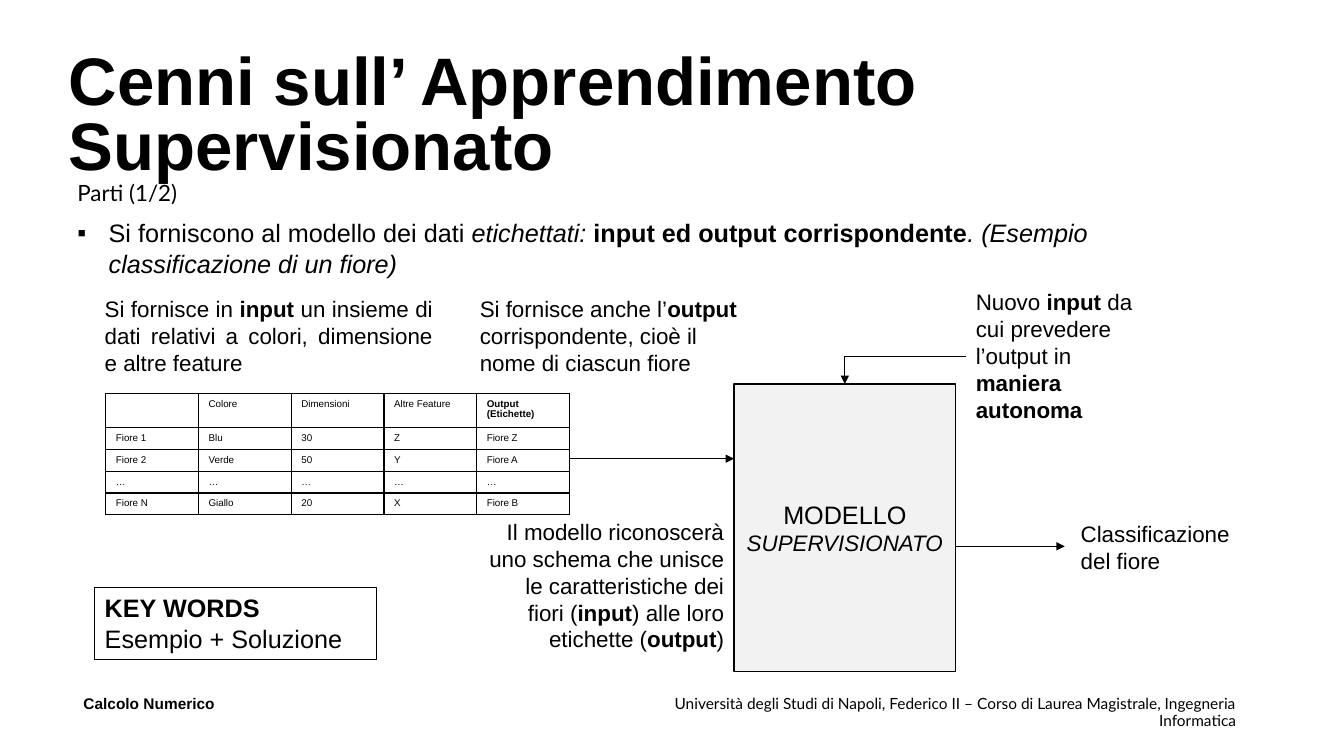
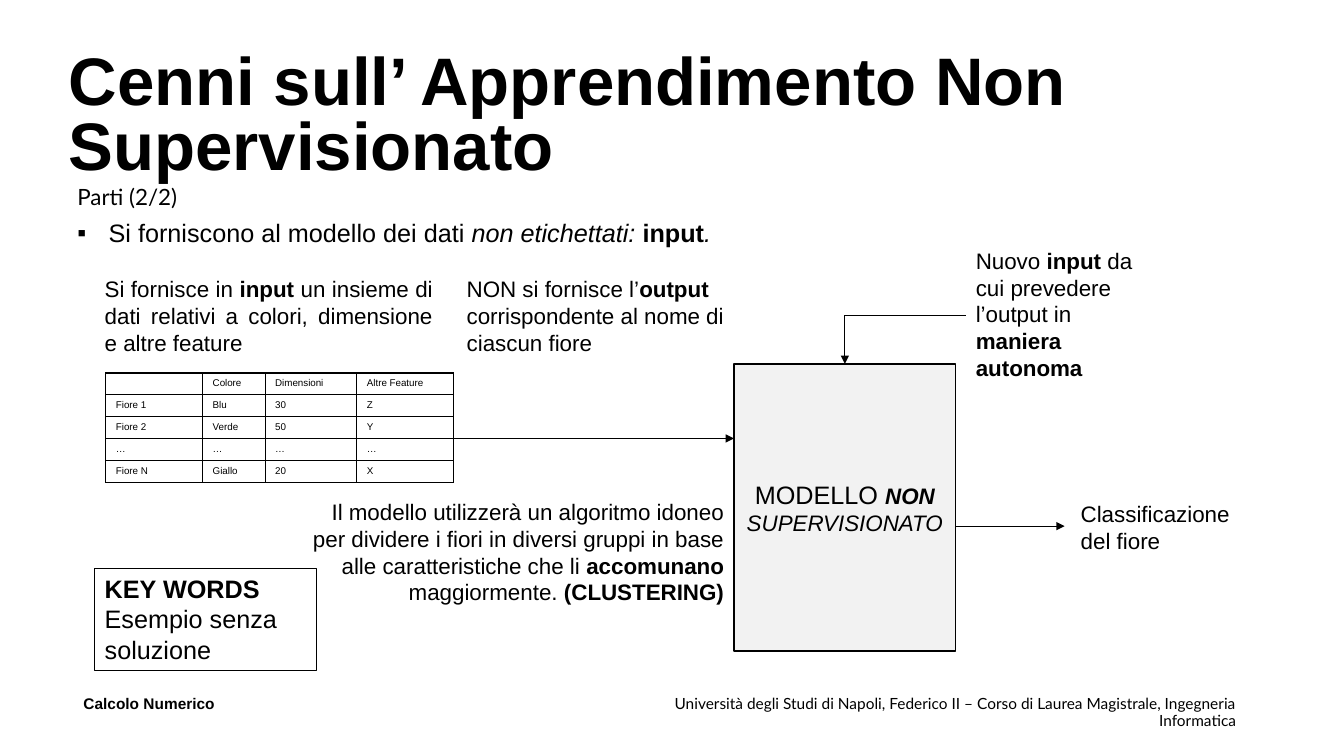
import pptx
import pptx.util
import pptx.dml.color
import pptx.enum.dml
import pptx.enum.shapes
import pptx.enum.text
import pptx.oxml
import pptx.oxml.ns
import lxml.etree

PX = 9144
BLACK, GREY = "000000", "F2F2F2"
SANS, HUMANIST = "Arial", "Lato"
B = {"bold": True}
I = {"italic": True}
ALIGN = pptx.enum.text.PP_ALIGN
ANCHOR = pptx.enum.text.MSO_ANCHOR
FIT = pptx.enum.text.MSO_AUTO_SIZE
SHAPE = pptx.enum.shapes.MSO_SHAPE
CONNECTOR = pptx.enum.shapes.MSO_CONNECTOR
LEFT_SIDE, RIGHT_SIDE, TOP_SIDE = 1, 3, 0

COURSE = "Calcolo Numerico"
UNIVERSITY = ("Università degli Studi di Napoli, Federico II – Corso di Laurea "
              "Magistrale, Ingegneria Informatica")
FLOWERS = [
    ["", "Colore", "Dimensioni", "Altre Feature"],
    ["Fiore 1", "Blu", "30", "Z"],
    ["Fiore 2", "Verde", "50", "Y"],
    ["…", "…", "…", "…"],
    ["Fiore N", "Giallo", "20", "X"],
]
LABELS = ["Output (Etichette)", "Fiore Z", "Fiore A", "…", "Fiore B"]


def px(*values):
    return [pptx.util.Emu(v * PX) for v in values]


def color(hex_value):
    return pptx.dml.color.RGBColor.from_string(hex_value)


def sub(parent, tag, **attrs):
    el = lxml.etree.SubElement(parent, pptx.oxml.ns.qn(tag))
    for name, value in attrs.items():
        el.set(name, str(value))
    return el


def set_attrs(obj, values):
    for name, value in values.items():
        setattr(obj, name, value)


def add_run(p, text, size, font=SANS, **style):
    r = p.add_run()
    r.text = text
    set_attrs(r.font, {"name": font, "size": pptx.util.Pt(size), "bold": False,
                       "italic": False, **style})
    r.font.color.rgb = color(BLACK)


def write(tf, paras, size=16, font=SANS, align=ALIGN.LEFT, spacing=1.0,
          anchor=ANCHOR.TOP, fit=FIT.NONE):
    set_attrs(tf, {"word_wrap": True, "auto_size": fit, "vertical_anchor": anchor})
    for i, runs in enumerate(paras):
        p = tf.paragraphs[0] if i == 0 else tf.add_paragraph()
        set_attrs(p, {"alignment": align, "line_spacing": spacing})
        for text, style in runs:
            add_run(p, text, **{"size": size, "font": font, **style})


def add_text(s, box, runs, **fmt):
    sp = s.shapes.add_textbox(*px(*box))
    write(sp.text_frame, [runs], **fmt)
    return sp


def add_box(s, box, paras, fill=None, width=1.0, **fmt):
    sp = s.shapes.add_shape(SHAPE.RECTANGLE, *px(*box))
    sp.shadow.inherit = False
    if fill:
        sp.fill.solid()
        sp.fill.fore_color.rgb = color(fill)
    else:
        sp.fill.background()
    sp.line.color.rgb = color(BLACK)
    sp.line.width = pptx.util.Pt(width)
    write(sp.text_frame, paras, size=18, **fmt)
    return sp


def add_arrow(s, start, end, kind=CONNECTOR.STRAIGHT):
    cxn = s.shapes.add_connector(kind, *px(*start, *end))
    cxn.line.color.rgb = color(BLACK)
    cxn.line.width = pptx.util.Pt(0.5)
    sub(cxn.line._get_or_add_ln(), "a:tailEnd", type="triangle")
    sub(cxn._element.spPr, "a:effectLst")
    return cxn


def add_corner_arrow(s, source, target):
    cxn = add_arrow(s, (0, 0), (1, 1), CONNECTOR.ELBOW)
    cxn.begin_connect(source, LEFT_SIDE)
    cxn.end_connect(target, TOP_SIDE)
    cxn._element.spPr.find(pptx.oxml.ns.qn("a:prstGeom")).set("prst", "bentConnector2")


def add_bullet(s, box, runs):
    sp = add_text(s, box, [], fit=FIT.SHAPE_TO_FIT_TEXT)
    p = sp.text_frame.paragraphs[0]
    pPr = p._p.get_or_add_pPr()
    indent = 31 * PX
    pPr.set("marL", str(indent))
    pPr.set("indent", str(-indent))
    sub(pPr, "a:buFont", typeface=SANS)
    sub(pPr, "a:buChar", char="▪")
    for text, style in runs:
        add_run(p, text, 18, **style)


def format_cell(cell, text, bold):
    p = cell.text_frame.paragraphs[0]
    if text:
        add_run(p, text, 7, bold=bold)
    else:
        p._p.get_or_add_endParaRPr().set("sz", "700")
    tcPr = cell._tc.get_or_add_tcPr()
    for side in ("a:lnL", "a:lnR", "a:lnT", "a:lnB"):
        ln = sub(tcPr, side, w=pptx.util.Pt(1))
        sub(sub(ln, "a:solidFill"), "a:srgbClr", val=BLACK)
    cell.fill.background()


def add_data_table(s, left, top, rows, widths, header):
    heights = [header] + [21] * (len(rows) - 1)
    frame = s.shapes.add_table(len(rows), len(widths),
                               *px(left, top, sum(widths), sum(heights)))
    table = frame.table
    set_attrs(table, {"first_row": False, "horz_banding": False})
    for column, width in zip(table.columns, px(*widths)):
        column.width = width
    for row, height in zip(table.rows, px(*heights)):
        row.height = height
    for i, values in enumerate(rows):
        for j, text in enumerate(values):
            format_cell(table.cell(i, j), text, text == LABELS[0])


def add_frame(prs, title, part, part_top):
    s = prs.slides.add_slide(prs.slide_layouts[5])
    sp = s.shapes.title
    set_attrs(sp, dict(zip(("left", "top", "width", "height"), px(58, 41, 1178, 153))))
    write(sp.text_frame, [[(title, B)]], size=48, spacing=0.8, anchor=ANCHOR.MIDDLE)
    add_text(s, (67, part_top, 1097, 35), [(part, {})], font=HUMANIST, spacing=0.9)
    add_text(s, (73, 686, 300, 40), [(COURSE, B)], size=11, spacing=0.9)
    add_text(s, (640, 686, 596, 40), [(UNIVERSITY, {})], size=11, font=HUMANIST,
             align=ALIGN.RIGHT, spacing=0.9)
    return s


def add_model_flow(s, top, rows, widths, header, output_box, output, new_input_top,
                   model, note_box, note):
    grow = {"fit": FIT.SHAPE_TO_FIT_TEXT}
    table_left = 105
    add_data_table(s, table_left, top + 9, rows, widths, header)
    add_text(s, (94, top - 93, 345, 91), [
        ("Si fornisce in ", {}), ("input ", B),
        ("un insieme di dati relativi a colori, dimensione e altre feature", {}),
    ], align=ALIGN.JUSTIFY, **grow)
    add_text(s, output_box, output, **grow)
    box = add_box(s, (728, top, 220, 285), model, fill=GREY,
                  align=ALIGN.CENTER, anchor=ANCHOR.MIDDLE)
    add_arrow(s, (table_left + sum(widths), top + 74), (728, top + 74))
    add_text(s, note_box, note, align=ALIGN.RIGHT, **grow)
    new_input = add_text(s, (958, new_input_top, 196, 145), [
        ("Nuovo ", {}), ("input ", B), ("da cui prevedere l’output in ", {}),
        ("maniera autonoma", B),
    ], **grow)
    add_corner_arrow(s, new_input, box)
    add_arrow(s, (948, top + 161), (1056, top + 161))
    add_text(s, (1062, top + 130, 202, 64), [("Classificazione del fiore", {})], **grow)


def add_key_words(s, box, text):
    add_box(s, box, [[("KEY WORDS", B)], [(text, {})]], width=0.75,
            fit=FIT.SHAPE_TO_FIT_TEXT)


def add_supervised(prs):
    s = add_frame(prs, "Cenni sull’ Apprendimento Supervisionato", "Parti (1/2)", 176)
    add_bullet(s, (67, 211, 1167, 71), [
        ("Si forniscono al modello dei dati ", {}), ("etichettati: ", I),
        ("input ed output corrispondente", B),
        (". (Esempio classificazione di un fiore)", I),
    ])
    add_model_flow(
        s, 381, [row + [label] for row, label in zip(FLOWERS, LABELS)], [92] * 5, 34,
        output_box=(466, 288, 288, 91),
        output=[("Si fornisce anche l’", {}), ("output ", B),
                ("corrispondente, cioè il nome di ciascun fiore", {})],
        new_input_top=281,
        model=[[("MODELLO", {})], [("SUPERVISIONATO", {"size": 16, **I})]],
        note_box=(471, 509, 257, 145),
        note=[("Il modello riconoscerà uno schema che unisce le caratteristiche "
               "dei fiori (", {}), ("input", B), (") alle loro etichette (", {}),
              ("output", B), (")", {})])
    add_key_words(s, (94, 583, 279, 71), "Esempio + Soluzione")


def add_unsupervised(prs):
    s = add_frame(prs, "Cenni sull’ Apprendimento Non Supervisionato", "Parti (2/2)", 180)
    add_bullet(s, (67, 211, 1167, 40), [
        ("Si forniscono al modello dei dati ", {}), ("non etichettati: ", I),
        ("input", B), (".", I),
    ])
    add_model_flow(
        s, 361, FLOWERS, [96, 62, 91, 96], 21,
        output_box=(453, 268, 279, 91),
        output=[("NON si fornisce l’", {}), ("output ", B),
                ("corrispondente al nome di ciascun fiore", {})],
        new_input_top=240,
        model=[[("MODELLO ", {}), ("NON ", {"size": 16, **B, **I}),
                ("SUPERVISIONATO", {"size": 16, **I})]],
        note_box=(297, 489, 431, 118),
        note=[("Il modello utilizzerà un algoritmo idoneo per dividere i fiori in "
               "diversi gruppi in base alle caratteristiche che li ", {}),
              ("accomunano ", B), ("maggiormente. ", {}), ("(CLUSTERING)", B)])
    add_key_words(s, (94, 564, 220, 101), "Esempio senza soluzione")


def main():
    prs = pptx.Presentation()
    prs.slide_width, prs.slide_height = px(1333, 750)
    add_supervised(prs)
    add_unsupervised(prs)
    prs.save("out.pptx")


if __name__ == "__main__":
    main()
